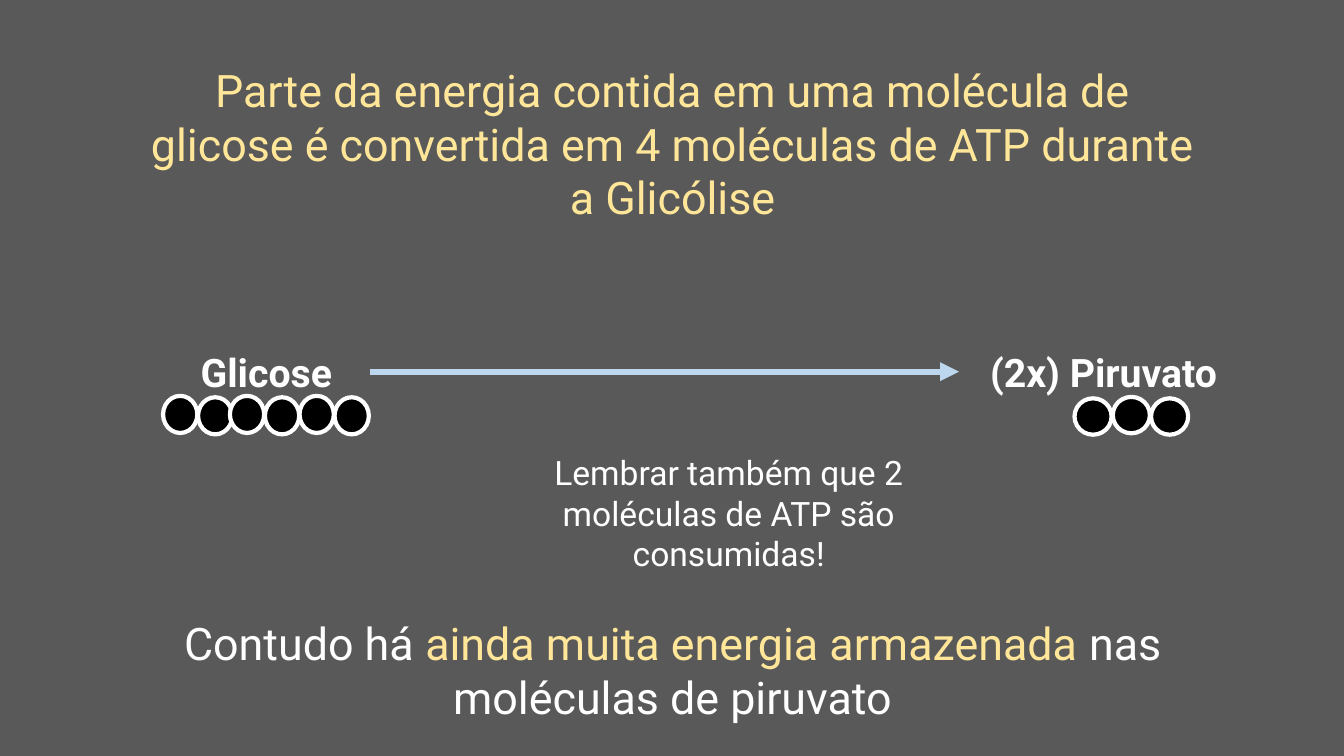
from dataclasses import dataclass

from lxml.etree import SubElement
from pptx import Presentation
from pptx.dml.color import RGBColor
from pptx.enum.shapes import MSO_CONNECTOR, MSO_SHAPE
from pptx.enum.text import MSO_ANCHOR, MSO_AUTO_SIZE, PP_ALIGN
from pptx.oxml.ns import qn
from pptx.util import Pt


@dataclass(frozen=True)
class Theme:
    font: str = "Roboto"
    background: str = "595959"
    highlight: str = "FFE699"
    text: str = "FFFFFF"
    arrow: str = "BDD7EE"
    carbon: str = "000000"
    statement_size: int = 32
    label_size: int = 28
    note_size: int = 24


def set_attributes(target, values):
    for name, value in values.items():
        setattr(target, name, value)


class SlideBuilder:
    def __init__(self, slide, theme):
        self.slide = slide
        self.theme = theme
        background = slide.background.fill
        background.solid()
        background.fore_color.rgb = RGBColor.from_string(theme.background)

    def fill_text(self, shape, runs, size, bold=False):
        set_attributes(shape.text_frame, {
            "word_wrap": True,
            "auto_size": MSO_AUTO_SIZE.SHAPE_TO_FIT_TEXT,
            "vertical_anchor": MSO_ANCHOR.TOP,
        })
        paragraph = shape.text_frame.paragraphs[0]
        set_attributes(paragraph, {"alignment": PP_ALIGN.CENTER, "line_spacing": 1.0})
        for text, color in runs:
            run = paragraph.add_run()
            run.text = text
            set_attributes(run.font, {"name": self.theme.font, "size": Pt(size), "bold": bold})
            run.font.color.rgb = RGBColor.from_string(color)

    def title(self, text, left, top, width, height):
        shape = self.slide.shapes.title
        set_attributes(shape, {
            "left": Pt(left), "top": Pt(top), "width": Pt(width), "height": Pt(height),
        })
        self.fill_text(shape, [(text, self.theme.highlight)], self.theme.statement_size)

    def text(self, runs, left, top, width, height, size, bold=False):
        shape = self.slide.shapes.add_textbox(Pt(left), Pt(top), Pt(width), Pt(height))
        self.fill_text(shape, runs, size, bold)
        return shape

    def arrow(self, source, target):
        connector = self.slide.shapes.add_connector(MSO_CONNECTOR.STRAIGHT, 0, 0, 0, 0)
        connector.begin_connect(source, 3)
        connector.end_connect(target, 1)
        connector.line.width = Pt(4.5)
        connector.line.color.rgb = RGBColor.from_string(self.theme.arrow)
        line = connector._element.spPr.find(qn("a:ln"))
        SubElement(line, qn("a:tailEnd"), type="triangle")
        SubElement(connector._element.spPr, qn("a:effectLst"))

    def carbon_chain(self, positions, width, height):
        chain = self.slide.shapes.add_group_shape()
        for left, top in positions:
            shape = chain.shapes.add_shape(
                MSO_SHAPE.OVAL, Pt(left), Pt(top), Pt(width), Pt(height))
            shape.shadow.inherit = False
            shape.fill.solid()
            shape.fill.fore_color.rgb = RGBColor.from_string(self.theme.carbon)
            shape.line.color.rgb = RGBColor.from_string(self.theme.text)
            shape.line.width = Pt(3)


def main():
    theme = Theme()
    presentation = Presentation()
    set_attributes(presentation, {"slide_width": Pt(960), "slide_height": Pt(540)})
    slide = presentation.slides.add_slide(presentation.slide_layouts[5])
    builder = SlideBuilder(slide, theme)

    builder.title(
        "Parte da energia contida em uma molécula de glicose é convertida "
        "em 4 moléculas de ATP durante a Glicólise", 96, 41, 769, 124)
    builder.text(
        [("Contudo há ", theme.text),
         ("ainda muita energia armazenada ", theme.highlight),
         ("nas moléculas de piruvato", theme.text)],
        96, 436.5, 769, 85, theme.statement_size)

    glucose = builder.text(
        [("Glicose", theme.text)], 116.5, 245, 147.5, 41, theme.label_size, True)
    pyruvate = builder.text(
        [("(2x) Piruvato", theme.text)], 685, 245, 206.5, 41, theme.label_size, True)
    builder.arrow(glucose, pyruvate)

    glucose_pairs = (116.5, 164.25, 214)
    builder.carbon_chain(
        [(left + shift, top) for left in glucose_pairs
         for shift, top in ((0, 282.75), (25, 283.75))], 24.5, 26.5)
    builder.carbon_chain(
        [(767.5 + 27.35 * index, 284.5 - index % 2) for index in range(3)], 26.5, 26)

    builder.text(
        [("Lembrar também que 2 moléculas de ATP são consumidas!", theme.text)],
        355, 319.5, 331, 94.5, theme.note_size)
    presentation.save("out.pptx")


if __name__ == "__main__":
    main()
